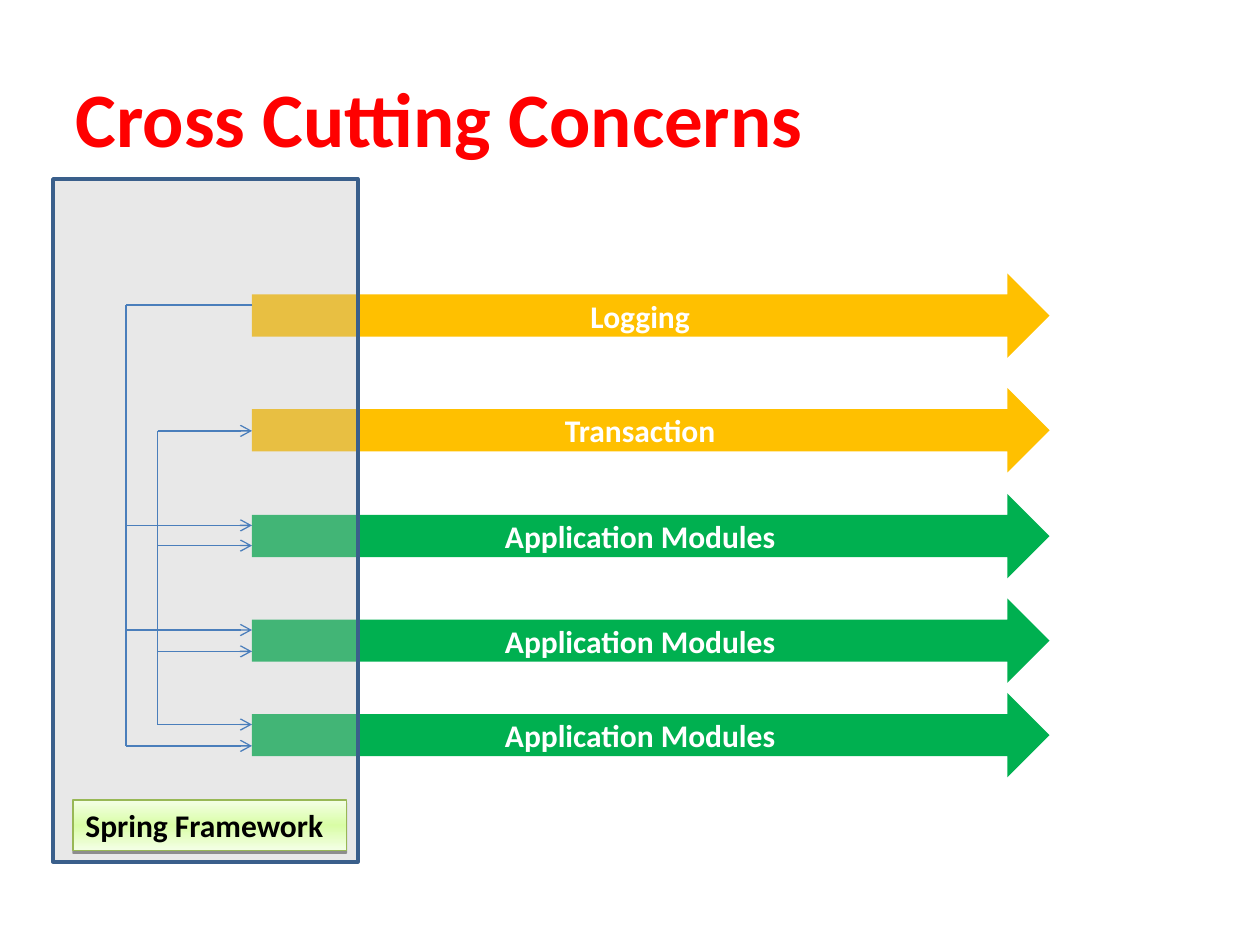
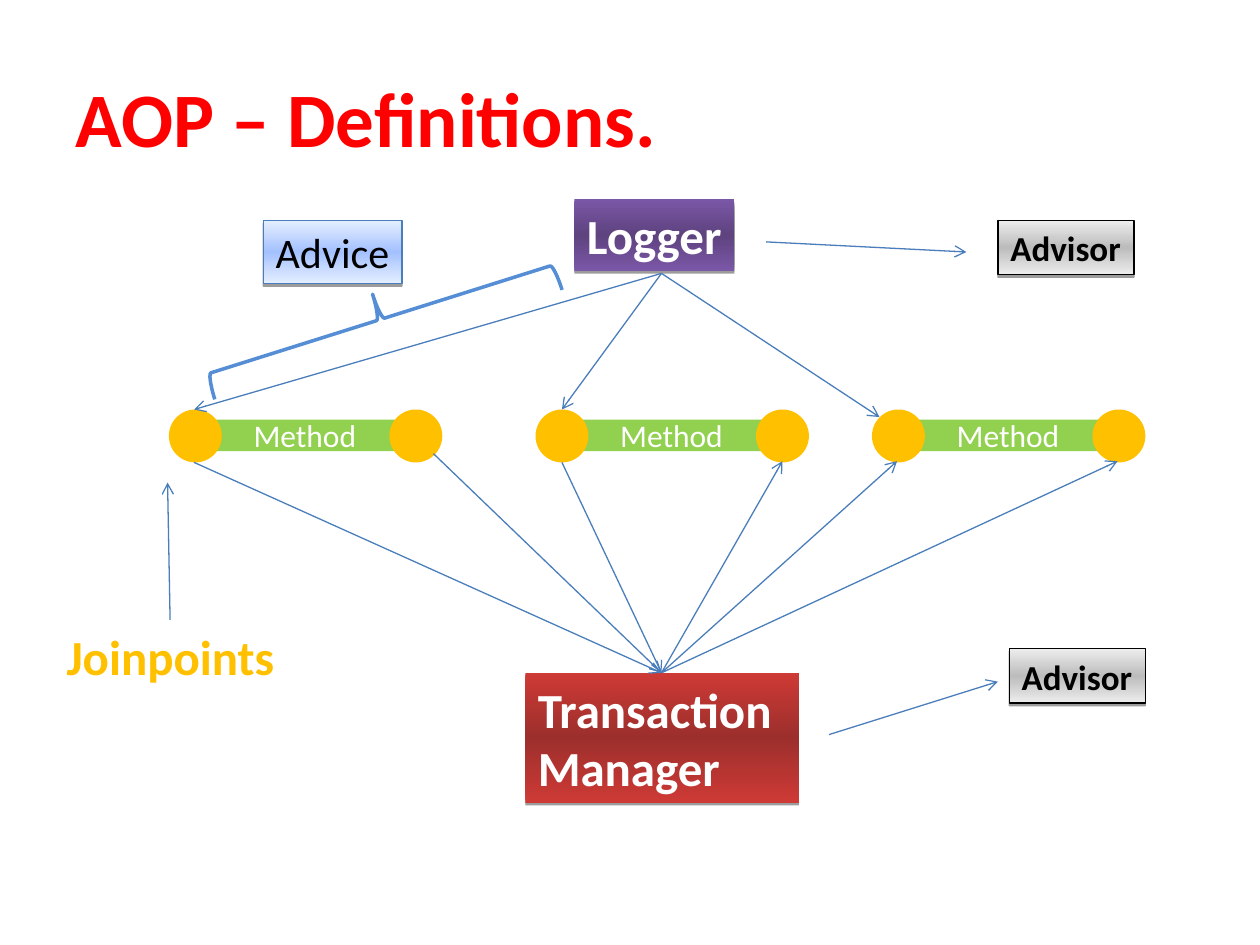
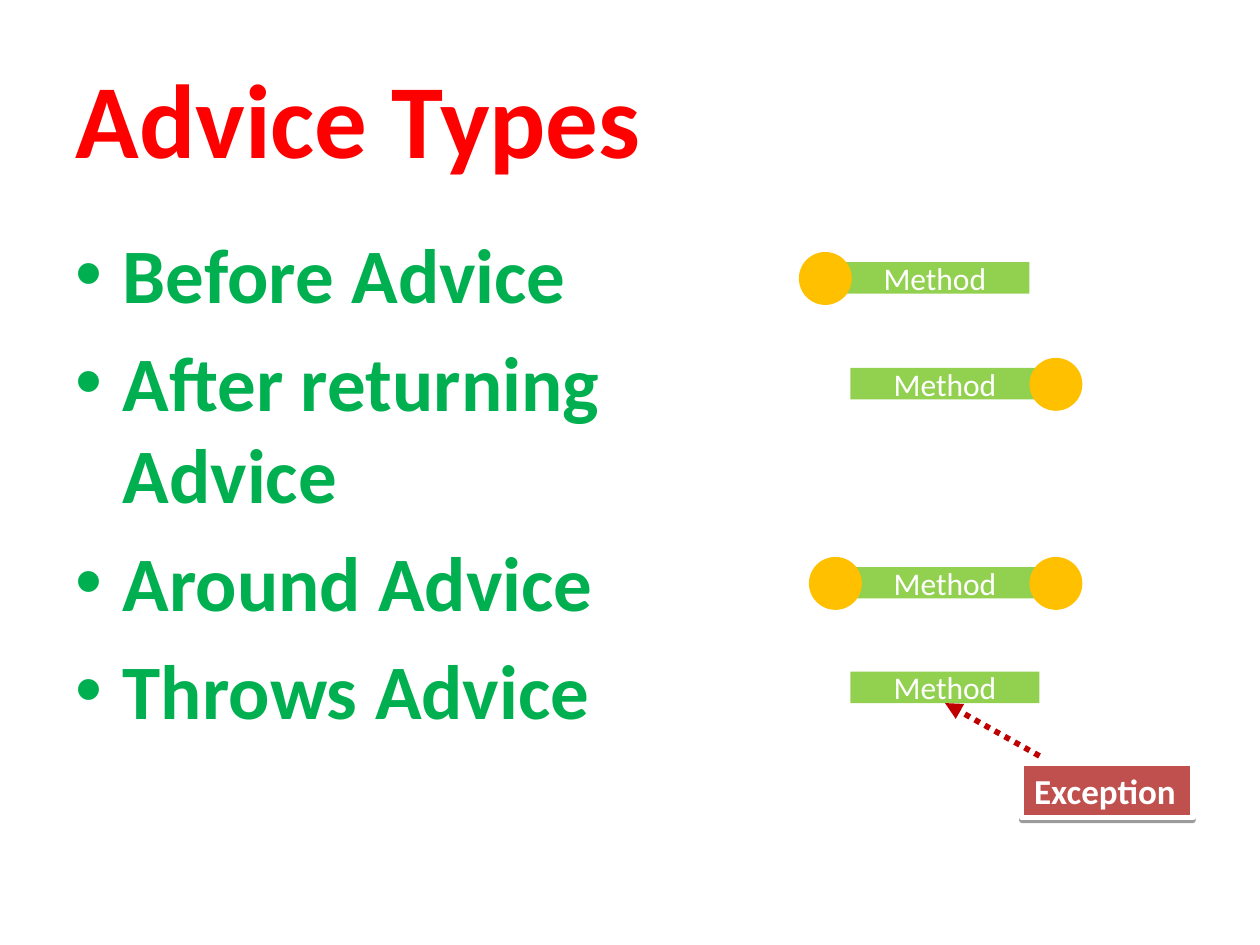
"""Build three slides on cross cutting concerns and AOP advice."""
from lxml import etree
from pptx import Presentation
from pptx import util as u
from pptx.dml.color import RGBColor
from pptx.enum import dml, shapes, text
from pptx.oxml.ns import qn

FONT = "Calibri"
RED, GREEN, LIME, AMBER = "FF0000", "00B050", "92D050", "FFC000"
BLACK, WHITE, BLUE, DARK_RED = "000000", "FFFFFF", "4A7EBB", "C00000"
THIN = 0.74
DOT = 0.42
SHAPE = shapes.MSO_SHAPE

# Edge and middle colours of the vertical gradients
LIGHT_GREEN = ("F4FFE6", "D9FDA6")
PURPLE = ("7B57A7", "5E437F")
BRICK = ("CE3A36", "9C2F2C")
LIGHT_BLUE = ("E5EFFF", "A4C1FF")
GREY = ("EDEDED", "BCBCBC")


def rgb(value):
    """Turn a hex string into a colour."""
    return RGBColor.from_string(value)


def box(x, y, w, h):
    """Return a left, top, width, height tuple in inches."""
    return tuple(u.Inches(v) for v in (x, y, w, h))


def style_text(tf, size, color, bold=False):
    """Format every run of a text frame."""
    for p in tf.paragraphs:
        for r in p.runs:
            r.font.name = FONT
            r.font.size = u.Pt(size)
            r.font.bold = bold
            r.font.color.rgb = rgb(color)


def set_line(sp, color, width):
    """Set the outline, or remove it when no colour is given."""
    if color is None:
        sp.line.fill.background()
        return
    sp.line.color.rgb = rgb(color)
    sp.line.width = u.Pt(width)


def set_fill(sp, fill):
    """Fill with a hex colour, an (edge, middle) gradient, or nothing."""
    if isinstance(fill, str):
        sp.fill.solid()
        sp.fill.fore_color.rgb = rgb(fill)
        return
    sp.fill.background()
    if fill:
        edge, middle = fill
        grad = etree.Element(qn("a:gradFill"), rotWithShape="1")
        stops = etree.SubElement(grad, qn("a:gsLst"))
        for pos, color in ((0, edge), (50000, middle), (100000, edge)):
            stop = etree.SubElement(stops, qn("a:gs"), pos=str(pos))
            etree.SubElement(stop, qn("a:srgbClr"), val=color)
        etree.SubElement(grad, qn("a:lin"), ang="5400000", scaled="0")
        spPr = sp.element.spPr
        spPr.replace(spPr.find(qn("a:noFill")), grad)


def add_alpha(color_element, percent):
    """Make a colour element partly transparent."""
    etree.SubElement(color_element, qn("a:alpha"), val=str(percent * 1000))


def add_shadow(sp, distance=1.6, percent=38):
    """Put a hard black shadow just below a shape."""
    sp.shadow.inherit = False
    effects = sp.element.spPr.find(qn("a:effectLst"))
    shadow = etree.SubElement(effects, qn("a:outerShdw"), blurRad="0",
                              dist=str(u.Pt(distance)), dir="5400000",
                              rotWithShape="0")
    add_alpha(etree.SubElement(shadow, qn("a:srgbClr"), val=BLACK), percent)


def add_shape(slide, kind, at, fill=None, line=None, width=THIN):
    """Add a preset shape without a shadow."""
    sp = slide.shapes.add_shape(kind, *box(*at))
    sp.shadow.inherit = False
    set_fill(sp, fill)
    set_line(sp, line, width)
    return sp


def add_caption(sp, caption, bold=False):
    """Write centred white text in a shape."""
    tf = sp.text_frame
    tf.text = caption
    tf.vertical_anchor = text.MSO_ANCHOR.MIDDLE
    tf.paragraphs[0].alignment = text.PP_ALIGN.CENTER
    style_text(tf, 18, WHITE, bold)


def add_label(slide, at, caption, size, color, fill=None, line=None,
              width=THIN, bold=True, wrap=False):
    """Add a text box that fits its text; a filled one has a shadow."""
    sp = slide.shapes.add_textbox(*box(*at))
    set_fill(sp, fill)
    set_line(sp, line, width)
    if fill:
        add_shadow(sp)
    tf = sp.text_frame
    tf.text = caption
    tf.word_wrap = wrap
    tf.auto_size = text.MSO_AUTO_SIZE.SHAPE_TO_FIT_TEXT
    style_text(tf, size, color, bold)


def add_line(slide, start, end, head="arrow", color=BLUE, width=THIN,
             dash=None):
    """Add a straight connector, with an arrowhead at its end if named."""
    points = [u.Inches(v) for v in (*start, *end)]
    line = slide.shapes.add_connector(shapes.MSO_CONNECTOR.STRAIGHT, *points)
    set_line(line, color, width)
    if dash:
        line.line.dash_style = dash
    spPr = line.element.spPr
    if head:
        etree.SubElement(spPr.find(qn("a:ln")), qn("a:tailEnd"), type=head)
    etree.SubElement(spPr, qn("a:effectLst"))


def add_method(slide, x, y, before=False, after=False):
    """Add a method bar with joinpoint dots at the chosen ends."""
    add_caption(add_shape(slide, SHAPE.RECTANGLE, (x, y, 1.5, 0.25), LIME),
                "Method")
    for wanted, offset in ((before, -0.33), (after, 1.42)):
        if wanted:
            add_shape(slide, SHAPE.OVAL, (x + offset, y - 0.08, DOT, DOT),
                      AMBER)


def add_slide(prs, title, size=44, layout=5):
    """Add a slide with a bold red title on the left."""
    slide = prs.slides.add_slide(prs.slide_layouts[layout])
    sp = slide.shapes.title
    sp.left, sp.top, sp.width, sp.height = box(0.5, 0.3, 9, 1.25)
    tf = sp.text_frame
    tf.text = title
    tf.auto_size = text.MSO_AUTO_SIZE.NONE
    tf.vertical_anchor = text.MSO_ANCHOR.MIDDLE
    tf.paragraphs[0].alignment = text.PP_ALIGN.LEFT
    style_text(tf, size, RED, bold=True)
    return slide


def build_concerns(prs):
    """Slide 1: concerns that cut across the application modules."""
    slide = add_slide(prs, "Cross Cutting Concerns")
    module = "Application Modules"
    for y, caption, color in ((2.17, "Logging", AMBER),
                              (3.08, "Transaction", AMBER),
                              (3.92, module, GREEN),
                              (4.75, module, GREEN),
                              (5.5, module, GREEN)):
        arrow = add_shape(slide, SHAPE.RIGHT_ARROW, (2, y, 6.33, 0.67), color)
        add_caption(arrow, caption, bold=True)

    panel = add_shape(slide, SHAPE.RECTANGLE, (0.42, 1.42, 2.42, 5.42),
                      "BFBFBF", "3A5F8B", 2)
    fill = panel.element.spPr.find(qn("a:solidFill"))
    add_alpha(fill.find(qn("a:srgbClr")), 35)
    add_label(slide, (0.58, 6.35, 2.17, 0.4), "Spring Framework", 18, BLACK,
              LIGHT_GREEN, "98B855", wrap=True)

    # Each trunk runs down from its concern and branches into the modules
    add_line(slide, (2, 2.42), (1, 2.42), head=None)
    for x, top, branches in ((1, 2.42, (4.17, 5, 5.92)),
                             (1.25, 3.42, (3.42, 4.33, 5.17, 5.75))):
        add_line(slide, (x, top), (x, branches[-1]), head=None)
        for y in branches:
            add_line(slide, (x, y), (2, y))


def build_definitions(prs):
    """Slide 2: advice, advisors and joinpoints."""
    slide = add_slide(prs, "AOP \u2013 Definitions.")
    for x in (1.67, 4.58, 7.25):
        add_method(slide, x, 3.33, before=True, after=True)

    add_label(slide, (4.56, 1.58, 1.27, 0.57), "Logger", 28, WHITE, PURPLE)
    add_label(slide, (4.17, 5.34, 2.17, 1.03), "Transaction Manager", 28,
              WHITE, BRICK, wrap=True)

    logger, manager = (5.25, 2.17), (5.25, 5.34)
    for end in ((1.54, 3.25), (4.46, 3.25), (6.98, 3.31)):
        add_line(slide, logger, end)
    for start in ((1.54, 3.67), (3.44, 3.6), (4.46, 3.67)):
        add_line(slide, start, manager)
    for x in (6.21, 7.12, 8.87):
        add_line(slide, manager, (x, 3.66))

    add_line(slide, (1.35, 4.92), (1.33, 3.83))
    add_label(slide, (0.43, 4.92, 1.9, 0.57), "Joinpoints", 28, AMBER)

    brace = add_shape(slide, SHAPE.RIGHT_BRACE, (2.81, 1.09, 0.42, 2.89),
                      line="558ED5", width=2)
    brace.adjustments[0] = 0.08
    brace.rotation = 252.5
    add_label(slide, (2.09, 1.75, 1.1, 0.5), "Advice", 24, BLACK, LIGHT_BLUE,
              BLUE, bold=False)

    for x, y in ((7.92, 1.75), (8.01, 5.15)):
        add_label(slide, (x, y, 1.08, 0.43), "Advisor", 20, BLACK, GREY,
                  BLACK)
    add_line(slide, (6.08, 1.92), (7.67, 2))
    add_line(slide, (6.58, 5.83), (7.92, 5.41))


def build_advice_types(prs):
    """Slide 3: the advice types, each with its joinpoints."""
    slide = add_slide(prs, "Advice Types", size=60, layout=1)
    body = slide.placeholders[1]
    body.left, body.top, body.width, body.height = box(0.5, 1.75, 4.92, 4.95)
    tf = body.text_frame
    tf.text = "\n".join(("Before Advice", "After returning Advice",
                         "Around Advice", "Throws Advice"))
    tf.auto_size = text.MSO_AUTO_SIZE.NONE
    style_text(tf, 44, GREEN, bold=True)

    add_method(slide, 6.67, 2.08, before=True)
    add_method(slide, 6.75, 2.92, after=True)
    add_method(slide, 6.75, 4.5, before=True, after=True)
    add_method(slide, 6.75, 5.33)
    add_line(slide, (8.25, 6), (7.5, 5.58), "triangle", DARK_RED, 3.25,
             dml.MSO_LINE.ROUND_DOT)
    add_label(slide, (8.11, 6.06, 1.36, 0.43), "Exception", 20, WHITE,
              "C0504D", WHITE, 3)


def main():
    """Build and save the presentation."""
    prs = Presentation()
    prs.slide_width, prs.slide_height = u.Inches(10), u.Inches(7.5)
    build_concerns(prs)
    build_definitions(prs)
    build_advice_types(prs)
    prs.save("out.pptx")


main()
